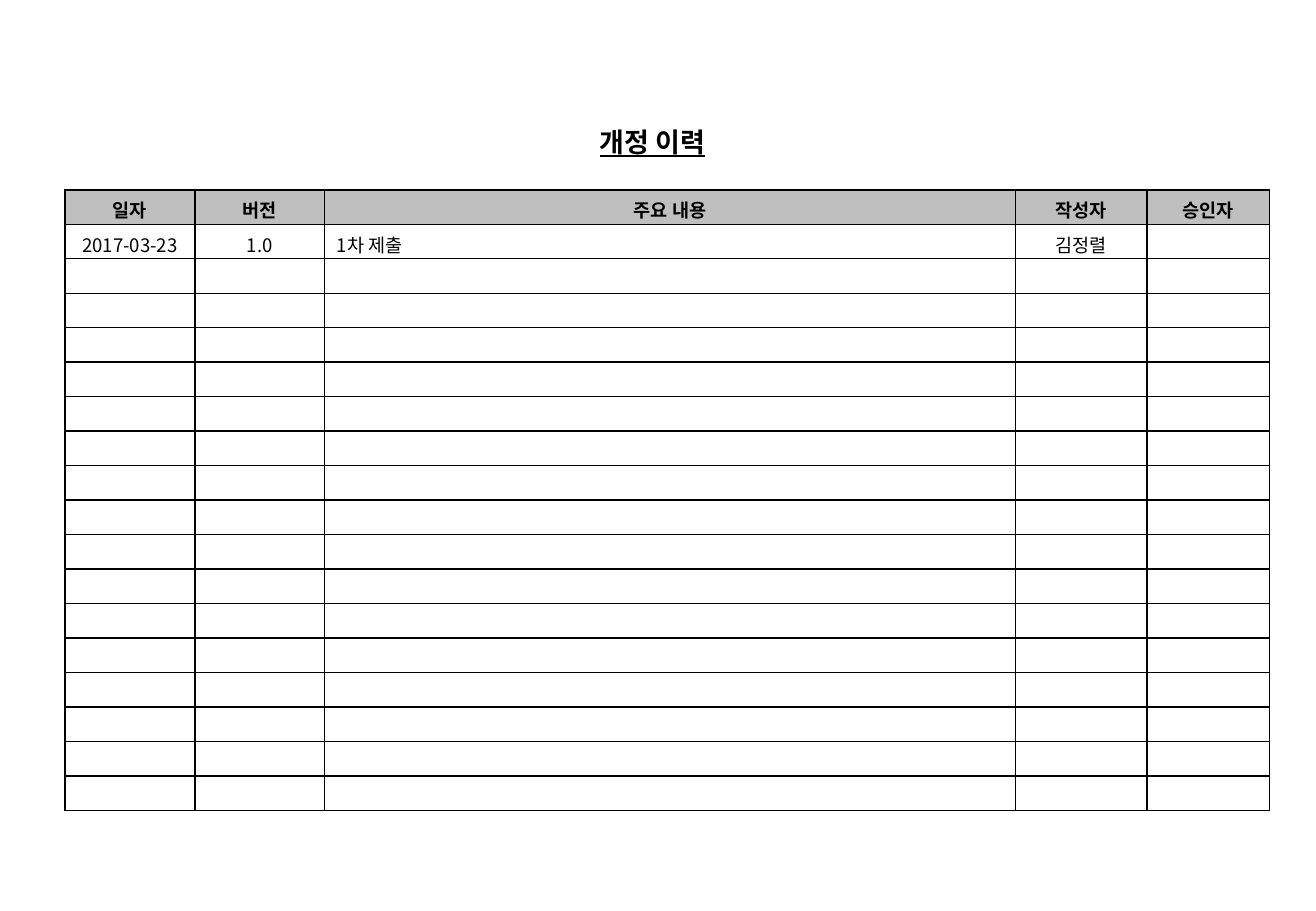
from dataclasses import dataclass

from lxml.etree import SubElement
from pptx import Presentation
from pptx.dml.color import RGBColor
from pptx.enum.text import MSO_ANCHOR, MSO_AUTO_SIZE, PP_ALIGN
from pptx.oxml.ns import qn
from pptx.table import _Cell
from pptx.util import Pt

FACE = "Noto Sans CJK KR"
BLACK, GREY = "000000", "BFBFBF"
ROWS, HIGH, SIZE = 18, 20.4, 11


@dataclass
class Column:
    head: str
    width: float
    entry: str
    align: PP_ALIGN = PP_ALIGN.CENTER


COLUMNS = [
    Column("일자", 77, "2017-03-23"),
    Column("버전", 77, "1.0"),
    Column("주요 내용", 409.5, "1차 제출", PP_ALIGN.LEFT),
    Column("작성자", 78, "김정렬"),
    Column("승인자", 72.5, ""),
]


def color(code: str) -> RGBColor:
    return RGBColor.from_string(code)


def write(par, text: str, align: PP_ALIGN, form: dict) -> None:
    par.alignment = align
    run = par.add_run()
    run.text = text
    run.font.color.rgb = color(BLACK)
    for key, value in {"name": FACE, **form}.items():
        setattr(run.font, key, value)
    SubElement(run.font._element, qn("a:ea"), typeface=FACE)


def border(cell: _Cell) -> None:
    props = cell._tc.get_or_add_tcPr()
    for side in ("lnL", "lnR", "lnT", "lnB"):
        line = SubElement(props, qn(f"a:{side}"), w=str(Pt(1)))
        fill = SubElement(line, qn("a:solidFill"))
        SubElement(fill, qn("a:srgbClr"), val=BLACK)


def draw_cell(cell: _Cell, text: str, align: PP_ALIGN, head: bool) -> None:
    border(cell)
    margins = {"margin_left": 7.2, "margin_right": 7.2,
               "margin_top": 3.6, "margin_bottom": 3.6}
    for key, value in margins.items():
        setattr(cell, key, Pt(value))
    if head:
        cell.fill.solid()
        cell.fill.fore_color.rgb = color(GREY)
        cell.vertical_anchor = MSO_ANCHOR.MIDDLE
    else:
        cell.fill.background()
    par = cell.text_frame.paragraphs[0]
    if text:
        write(par, text, align, {"size": Pt(SIZE), "bold": head})
    else:
        SubElement(par._p, qn("a:endParaRPr"), sz=str(SIZE * 100))


def draw_title(slide) -> None:
    title = slide.shapes.title
    place = {"left": 37.5, "top": 70.5, "width": 698.5, "height": 26.5}
    for key, value in place.items():
        setattr(title, key, Pt(value))
    frame = title.text_frame
    form = {"word_wrap": True, "vertical_anchor": MSO_ANCHOR.MIDDLE,
            "auto_size": MSO_AUTO_SIZE.SHAPE_TO_FIT_TEXT}
    for key, value in form.items():
        setattr(frame, key, value)
    write(frame.paragraphs[0], "개정 이력", PP_ALIGN.CENTER,
          {"size": Pt(16), "bold": True, "underline": True})


def draw_table(slide) -> None:
    width = sum(col.width for col in COLUMNS)
    table = slide.shapes.add_table(
        ROWS, len(COLUMNS), Pt(38.5), Pt(112.5), Pt(width), Pt(ROWS * HIGH)
    ).table
    table.first_row = table.horz_banding = False
    for row in table.rows:
        row.height = Pt(HIGH)
    for x, col in enumerate(COLUMNS):
        table.columns[x].width = Pt(col.width)
        texts = [col.head, col.entry] + [""] * (ROWS - 2)
        for y, text in enumerate(texts):
            align = PP_ALIGN.CENTER if y == 0 else col.align
            draw_cell(table.cell(y, x), text, align, y == 0)


def main() -> None:
    deck = Presentation()
    deck.slide_width, deck.slide_height = Pt(780), Pt(540)
    slide = deck.slides.add_slide(deck.slide_layouts[5])
    draw_title(slide)
    draw_table(slide)
    deck.save("out.pptx")


if __name__ == "__main__":
    main()
